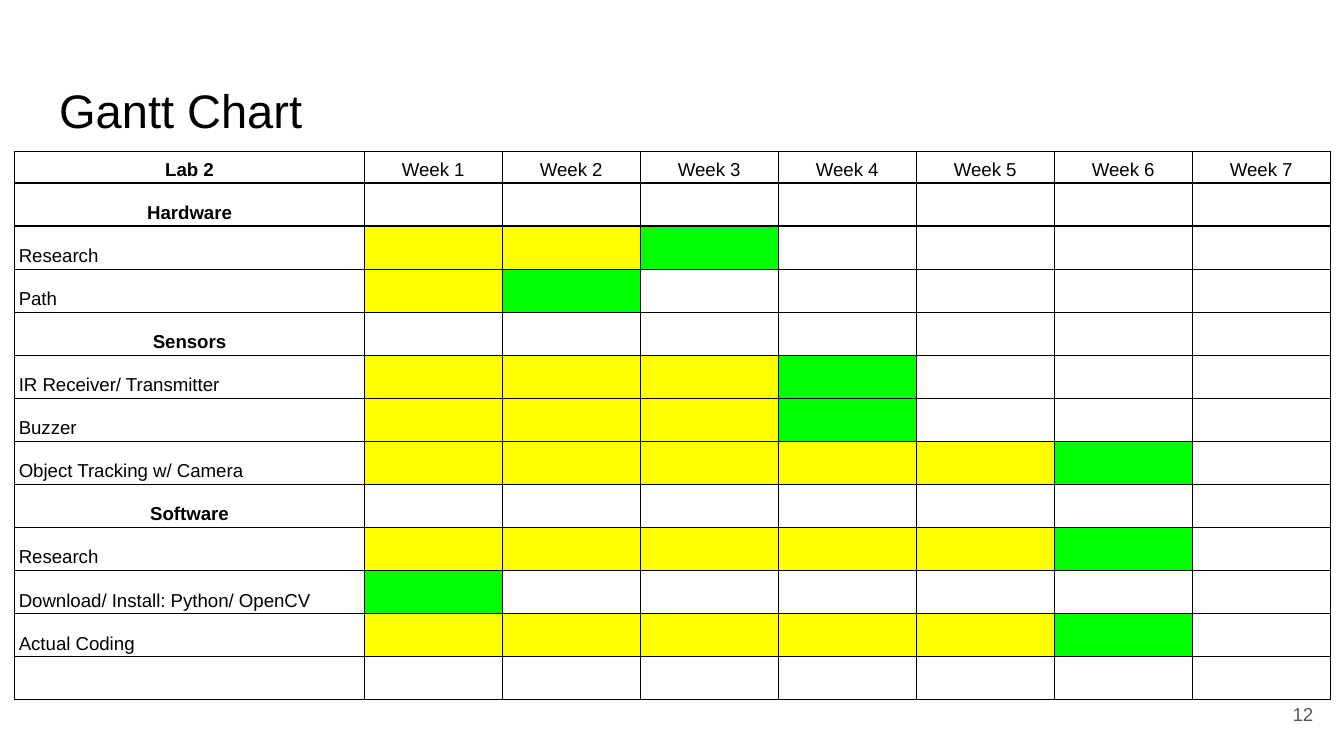
from lxml import etree
from pptx import Presentation
from pptx.dml.color import RGBColor
from pptx.enum.text import MSO_ANCHOR, PP_ALIGN
from pptx.oxml.ns import qn
from pptx.util import Inches, Pt

TOP, MIDDLE, BOTTOM = MSO_ANCHOR.TOP, MSO_ANCHOR.MIDDLE, MSO_ANCHOR.BOTTOM
LEFT, CENTER, RIGHT = PP_ALIGN.LEFT, PP_ALIGN.CENTER, PP_ALIGN.RIGHT

TITLE = "Gantt Chart"
PAGE_NUMBER = "12"
CORNER = "Lab 2"
WEEK_COUNT = 7
# Each group: heading, then (task, week in which it is finished).
GROUPS = [
    ("Hardware", [("Research", 3), ("Path", 2)]),
    ("Sensors", [("IR Receiver/ Transmitter", 4), ("Buzzer", 4),
                 ("Object Tracking w/ Camera", 6)]),
    ("Software", [("Research", 6), ("Download/ Install: Python/ OpenCV", 1),
                  ("Actual Coding", 6)]),
]

THEME = {
    "font": "Arial",
    "title_size": 25.2,
    "text_size": 10,
    "text": "000000",
    "muted": "595959",
    "background": "FFFFFF",
    "working": "FFFF00",
    "finished": "00FF00",
    "border": "000000",
    "border_width": 0.75,
}

SLIDE_WIDTH = 10
SLIDE_HEIGHT = SLIDE_WIDTH * 9 / 16
TABLE_LEFT, TABLE_TOP, TABLE_WIDTH, TABLE_HEIGHT = 0.11, 1.13, 9.79, 4.08
LABEL_WIDTH, HEADER_HEIGHT = 2.6, 0.23


def write(frame, text, align, size=THEME["text_size"], color=THEME["text"], bold=False):
    paragraph = frame.paragraphs[0]
    paragraph.alignment = align
    run = paragraph.add_run()
    run.text = text
    run.font.name = THEME["font"]
    run.font.size = Pt(size)
    run.font.bold = bold
    run.font.color.rgb = RGBColor.from_string(color)
    return paragraph


def set_frame(frame, anchor):
    frame.word_wrap = True
    frame.vertical_anchor = anchor
    frame.margin_left = frame.margin_right = Inches(0.1)
    frame.margin_top = frame.margin_bottom = Inches(0.1)


def add_borders(cell):
    properties = cell._tc.get_or_add_tcPr()
    for position, side in enumerate(("a:lnL", "a:lnR", "a:lnT", "a:lnB")):
        line = etree.Element(qn(side), w=str(Pt(THEME["border_width"])))
        fill = etree.SubElement(line, qn("a:solidFill"))
        etree.SubElement(fill, qn("a:srgbClr"), val=THEME["border"])
        properties.insert(position, line)


def format_cell(cell, color):
    cell.fill.solid()
    cell.fill.fore_color.rgb = RGBColor.from_string(color)
    cell.vertical_anchor = BOTTOM
    cell.margin_left = cell.margin_right = Inches(0.03)
    cell.margin_top = cell.margin_bottom = Inches(0.02)
    add_borders(cell)


def write_cell(cell, text, align, bold=False):
    write(cell.text_frame, text, align, bold=bold).line_spacing = 1.15


def shrink_empty_cell(cell):
    """Keep the default 18 pt of an empty paragraph from stretching its row."""
    etree.SubElement(cell.text_frame.paragraphs[0]._p, qn("a:endParaRPr"),
                     sz=str(THEME["text_size"] * 100))


def week_color(week, finish):
    if week < finish:
        return THEME["working"]
    return THEME["finished"] if week == finish else THEME["background"]


def add_gantt_table(slide):
    rows = []  # label, finishing week, is heading
    for heading, tasks in GROUPS:
        rows.append((heading, 0, True))
        rows.extend((task, finish, False) for task, finish in tasks)
    rows.append(("", 0, False))

    table = slide.shapes.add_table(
        len(rows) + 1, WEEK_COUNT + 1, Inches(TABLE_LEFT), Inches(TABLE_TOP),
        Inches(TABLE_WIDTH), Inches(TABLE_HEIGHT)).table
    week_width = (TABLE_WIDTH - LABEL_WIDTH) / WEEK_COUNT
    for index, column in enumerate(table.columns):
        column.width = Inches(week_width if index else LABEL_WIDTH)
    task_height = (TABLE_HEIGHT - HEADER_HEIGHT) / len(rows)
    for index, row in enumerate(table.rows):
        row.height = Inches(task_height if index else HEADER_HEIGHT)

    for week in range(WEEK_COUNT + 1):
        cell = table.cell(0, week)
        format_cell(cell, THEME["background"])
        write_cell(cell, f"Week {week}" if week else CORNER, CENTER, bold=week == 0)

    for index, (label, finish, is_heading) in enumerate(rows, start=1):
        for week in range(WEEK_COUNT + 1):
            cell = table.cell(index, week)
            format_cell(cell, week_color(week, finish) if week else THEME["background"])
            if week == 0 and label:
                write_cell(cell, label, CENTER if is_heading else LEFT, bold=is_heading)
            else:
                shrink_empty_cell(cell)


def main():
    presentation = Presentation()
    presentation.slide_width = Inches(SLIDE_WIDTH)
    presentation.slide_height = Inches(SLIDE_HEIGHT)
    slide = presentation.slides.add_slide(presentation.slide_layouts[5])

    title = slide.shapes.title
    title.left, title.top = Inches(0.34), Inches(0.51)
    title.width, title.height = Inches(9.32), Inches(0.63)
    set_frame(title.text_frame, TOP)
    write(title.text_frame, TITLE, LEFT, size=THEME["title_size"])

    number = slide.shapes.add_textbox(Inches(9.27), Inches(5.1), Inches(0.6), Inches(0.43))
    set_frame(number.text_frame, MIDDLE)
    write(number.text_frame, PAGE_NUMBER, RIGHT, color=THEME["muted"])

    add_gantt_table(slide)
    presentation.save("out.pptx")


if __name__ == "__main__":
    main()
